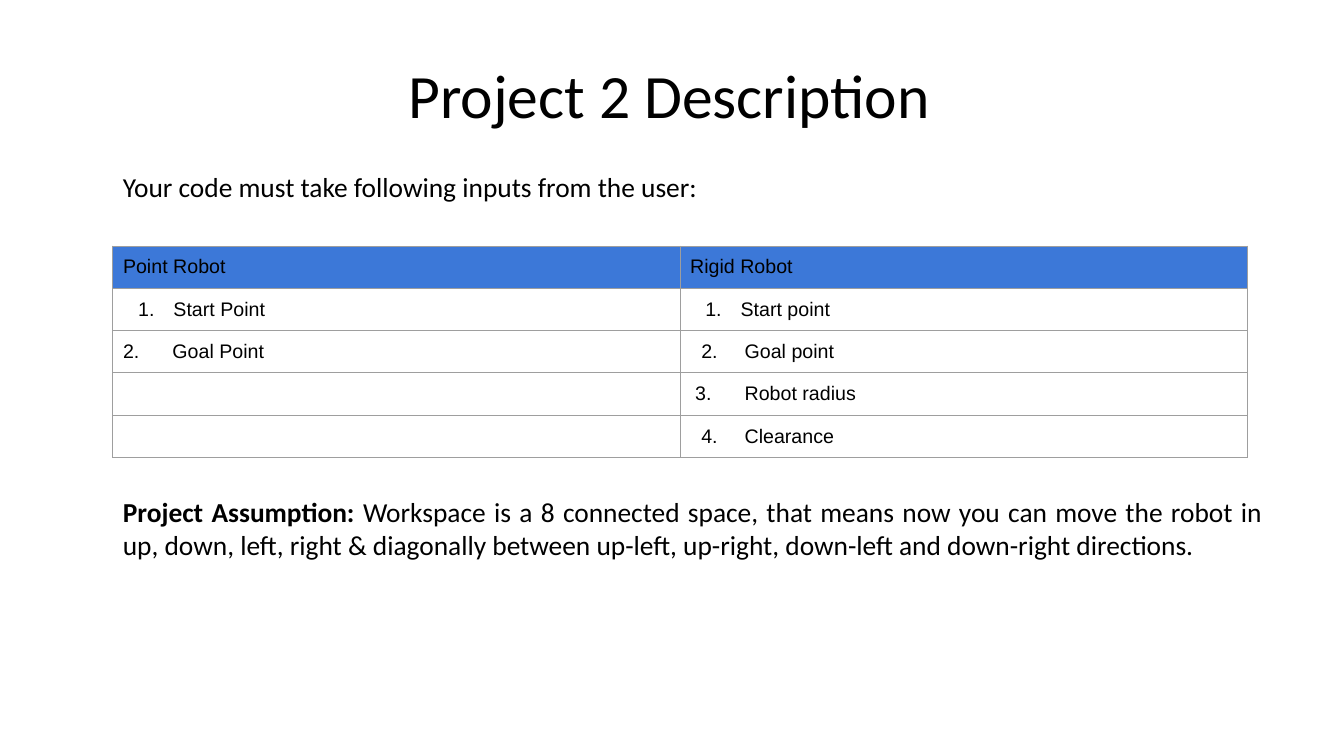
from pptx import Presentation
from pptx.dml.color import RGBColor
from pptx.enum.text import MSO_ANCHOR as Anchor, PP_ALIGN as Align
from pptx.oxml.ns import qn
from pptx.util import Inches, Pt
from lxml.etree import SubElement

COLORS = {"text": "000000", "header": "3C78D8", "border": "9E9E9E"}


def write(para, text, **formats):
    span = para.add_run()
    span.text = text
    span.font.color.rgb = RGBColor.from_string(COLORS["text"])
    for name, value in formats.items():
        setattr(span.font, name, value)


def add_box(left, top, width, height, anchor, align):
    frame = page.shapes.add_textbox(*map(Inches, (left, top, width, height))).text_frame
    frame.word_wrap = True
    frame.vertical_anchor = anchor
    frame.paragraphs[0].alignment = align
    return frame.paragraphs[0]


deck = Presentation()
deck.slide_width, deck.slide_height = Inches(13.33), Inches(7.5)
page = deck.slides.add_slide(deck.slide_layouts[6])

# Title
title = add_box(0.89, 0.25, 11.5, 1.45, Anchor.MIDDLE, Align.CENTER)
title.line_spacing = 0.9
write(title, "Project 2 Description", name="Calibri", size=Pt(44))

# Introduction and assumption
body = {"name": "Calibri", "size": Pt(19.6)}
intro = add_box(1.12, 1.64, 11.5, 0.45, Anchor.TOP, Align.LEFT)
write(intro, "Your code must take following inputs from the user:", **body)

assumption = add_box(1.12, 4.86, 11.5, 0.8, Anchor.TOP, Align.JUSTIFY)
write(assumption, "Project Assumption: ", bold=True, **body)
write(assumption, "Workspace is a 8 connected space, that means now you can move the robot in "
      "up, down, left, right & diagonally between up-left, up-right, down-left and "
      "down-right directions.", **body)

# Inputs of each robot: text, number offset, text offset
inputs = {
    "Point Robot": [("Start Point", 0.15, 0.5), ("Goal Point", 0, 0.49)],
    "Rigid Robot": [("Start point", 0.15, 0.5), ("Goal point", 0.11, 0.54),
                    ("Robot radius", 0.05, 0.54), ("Clearance", 0.11, 0.54)],
}
row_count = 1 + max(map(len, inputs.values()))
table = page.shapes.add_table(row_count, len(inputs), Inches(1.12), Inches(2.44),
                              Inches(11.25), Inches(0.42 * row_count)).table

for column, (robot, items) in enumerate(inputs.items()):
    for row in range(row_count):
        cell = table.cell(row, column)
        cell.vertical_anchor = Anchor.MIDDLE
        cell.margin_top = cell.margin_bottom = Inches(0.05)

        # Borders come before the fill in the cell properties
        properties = cell._tc.get_or_add_tcPr()
        for side in ("a:lnL", "a:lnR", "a:lnT", "a:lnB"):
            line = SubElement(properties, qn(side), w=str(Pt(0.75)))
            SubElement(SubElement(line, qn("a:solidFill")), qn("a:srgbClr"), val=COLORS["border"])

        para = cell.text_frame.paragraphs[0]
        if row == 0:
            cell.fill.solid()
            cell.fill.fore_color.rgb = RGBColor.from_string(COLORS["header"])
            write(para, robot, name="Arial", size=Pt(14), bold=False)
            continue
        cell.fill.background()
        if row <= len(items):
            text, number_left, text_left = items[row - 1]
            layout = para._p.get_or_add_pPr()
            layout.set("marL", str(Inches(text_left)))
            layout.set("indent", str(Inches(number_left - text_left)))
            SubElement(layout, qn("a:buFont"), typeface="Arial")
            SubElement(layout, qn("a:buAutoNum"), type="arabicPeriod", startAt=str(row))
            write(para, text, name="Arial", size=Pt(14))

deck.save("out.pptx")
